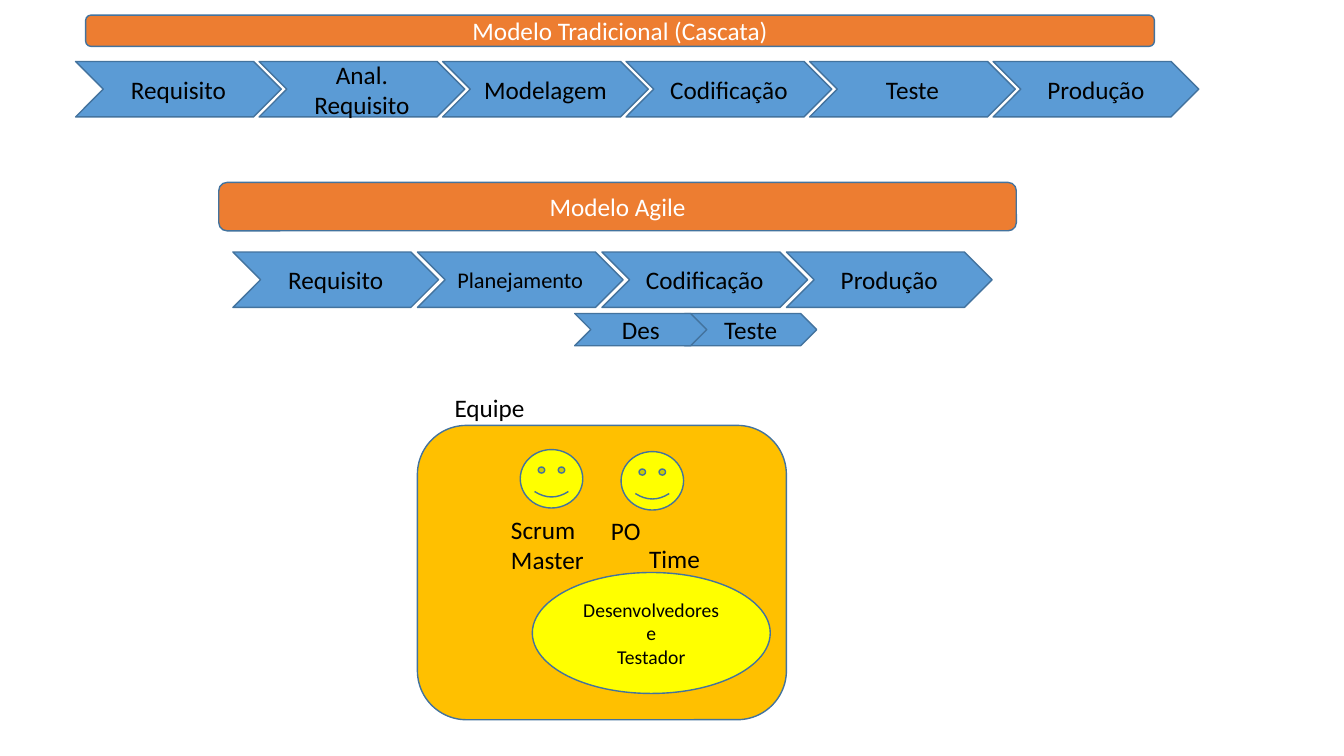
from dataclasses import dataclass

from pptx import Presentation
from pptx.dml.color import RGBColor
from pptx.enum.shapes import MSO_SHAPE
from pptx.enum.text import MSO_ANCHOR, MSO_AUTO_SIZE, PP_ALIGN
from pptx.util import Inches, Pt

CHEVRON = MSO_SHAPE.CHEVRON
ROUNDED = MSO_SHAPE.ROUNDED_RECTANGLE
OVAL = MSO_SHAPE.OVAL
SMILEY = MSO_SHAPE.SMILEY_FACE
LEFT, CENTER = PP_ALIGN.LEFT, PP_ALIGN.CENTER
MIDDLE = MSO_ANCHOR.MIDDLE
FIT_SHAPE = MSO_AUTO_SIZE.SHAPE_TO_FIT_TEXT
BLANK_LAYOUT = 6


@dataclass(frozen=True)
class Theme:
    font: str = "Calibri"
    body: int = 18
    compact: int = 16
    small: int = 14
    line_width: int = 1
    outline: str = "43739E"
    step: str = "5B9BD5"
    banner: str = "ED7D31"
    team: str = "FFC000"
    member: str = "FFFF00"
    dark: str = "000000"
    light: str = "FFFFFF"


def rgb(value):
    return RGBColor.from_string(value)


def write(tf, text, *, font, size, color, align=LEFT):
    tf.word_wrap = True
    for i, line in enumerate(text.split("\n")):
        p = tf.paragraphs[0] if i == 0 else tf.add_paragraph()
        p.alignment = align
        r = p.add_run()
        r.text = line
        r.font.name = font
        r.font.size = Pt(size)
        r.font.color.rgb = rgb(color)


class SlideBuilder:
    def __init__(self, slide, theme):
        self.slide = slide
        self.theme = theme

    def shape(self, kind, box, fill, text="", size=None, color=None):
        t = self.theme
        sp = self.slide.shapes.add_shape(kind, *map(Inches, box))
        sp.shadow.inherit = False
        sp.fill.solid()
        sp.fill.fore_color.rgb = rgb(fill)
        sp.line.color.rgb = rgb(t.outline)
        sp.line.width = Pt(t.line_width)
        if text:
            sp.text_frame.vertical_anchor = MIDDLE
            write(sp.text_frame, text, font=t.font, size=size or t.body,
                  color=color or t.dark, align=CENTER)

    def banner(self, box, text):
        self.shape(ROUNDED, box, self.theme.banner, text,
                   color=self.theme.light)

    def steps(self, left, top, width, height, pitch, names, sizes=None):
        for i, name in enumerate(names):
            self.shape(CHEVRON, (left + i * pitch, top, width, height),
                       self.theme.step, name, size=(sizes or {}).get(name))

    def label(self, box, text):
        t = self.theme
        tf = self.slide.shapes.add_textbox(*map(Inches, box)).text_frame
        write(tf, text, font=t.font, size=t.body, color=t.dark)
        tf.auto_size = FIT_SHAPE

    def person(self, left, top, role, label_box):
        self.shape(SMILEY, (left, top, 0.62, 0.58), self.theme.member)
        self.label(label_box, role)


def main():
    prs = Presentation()
    prs.slide_width, prs.slide_height = Inches(13.33), Inches(7.5)
    theme = Theme()
    s = SlideBuilder(
        prs.slides.add_slide(prs.slide_layouts[BLANK_LAYOUT]), theme)

    s.banner((0.85, 0.15, 10.6, 0.31), "Modelo Tradicional (Cascata)")
    s.steps(0.75, 0.61, 2.04, 0.55, 1.82,
            ["Requisito", "Anal. Requisito", "Modelagem",
             "Codificação", "Teste", "Produção"])

    s.banner((2.17, 1.81, 7.91, 0.48), "Modelo Agile")
    s.steps(2.31, 2.5, 2.04, 0.55, 1.83,
            ["Requisito", "Planejamento", "Codificação", "Produção"],
            sizes={"Planejamento": theme.compact})
    s.steps(6.79, 3.11, 1.31, 0.32, -1.09, ["Teste", "Des"])

    s.shape(ROUNDED, (4.14, 4.22, 3.66, 2.92), theme.team)
    s.person(5.16, 4.46, "Scrum Master", (4.97, 5.05, 1, 0.71))
    s.person(6.16, 4.48, "PO", (5.96, 5.06, 1, 0.4))
    s.shape(OVAL, (5.28, 5.68, 2.36, 1.2), theme.member,
            "Desenvolvedores e\nTestador", size=theme.small)
    s.label((4.41, 3.84, 2.13, 0.4), "Equipe")
    s.label((6.34, 5.34, 2.13, 0.4), "Time")

    prs.save("out.pptx")


if __name__ == "__main__":
    main()
